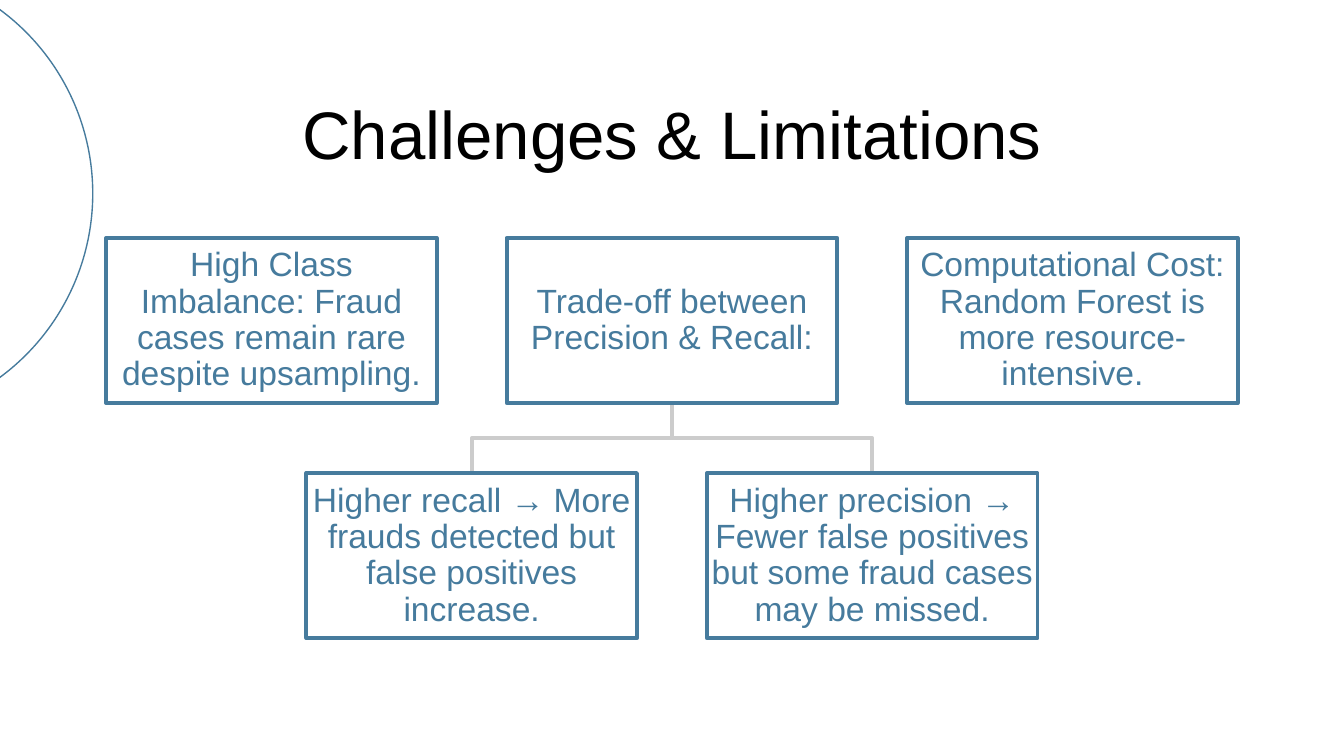
from dataclasses import dataclass

from pptx import Presentation
from pptx.dml.color import RGBColor
from pptx.enum.shapes import MSO_SHAPE as Preset
from pptx.enum.text import MSO_ANCHOR as Anchor, MSO_AUTO_SIZE as Fit, PP_ALIGN as Align
from pptx.util import Inches, Pt

# Content: (column, text); columns may be fractional, to sit between two others
TITLE = "Challenges & Limitations"
CHALLENGES = [
    (0, "High Class Imbalance: Fraud cases remain rare despite upsampling."),
    (1, "Trade-off between Precision & Recall:"),
    (2, "Computational Cost: Random Forest is more resource-intensive."),
]
TRADE_OFFS = [
    (0.5, "Higher recall → More frauds detected but false positives increase."),
    (1.5, "Higher precision → Fewer false positives but some fraud cases may be missed."),
]
PARENT_COLUMN = 1


@dataclass(frozen=True)
class Theme:
    blue: RGBColor = RGBColor.from_string("467B9D")
    grey: RGBColor = RGBColor.from_string("CCCCCC")
    white: RGBColor = RGBColor.from_string("FFFFFF")
    black: RGBColor = RGBColor.from_string("000000")
    font: str = "Arial"
    title_size: int = 36
    box_size: int = 18
    box_line: float = 2
    circle_line: float = 0.75


THEME = Theme()

# Grid, in inches, on a 16:9 slide
WIDTH = 10
HEIGHT = WIDTH * 9 / 16
MARGIN = 0.79
BOX_WIDTH, BOX_HEIGHT = 2.46, 1.23
COLUMN_STEP = (WIDTH - 2 * MARGIN - BOX_WIDTH) / 2
ROWS = (1.77, 3.52)


def set_values(target, values):
    for name, value in values.items():
        setattr(target, name, value)


def style_shape(shape, line, points, fill=None):
    shape.shadow.inherit = False
    if fill is None:
        shape.fill.background()
    else:
        shape.fill.solid()
        shape.fill.fore_color.rgb = fill
    shape.line.color.rgb = line
    shape.line.width = Pt(points)


def write(shape, text, size, colour, spacing, frame_values):
    frame = shape.text_frame
    set_values(frame, {"word_wrap": True, "auto_size": Fit.NONE} | frame_values)
    para = frame.paragraphs[0]
    set_values(para, {"alignment": Align.CENTER, "line_spacing": spacing})
    span = para.add_run()
    span.text = text
    set_values(span.font, {"name": THEME.font, "size": Pt(size)})
    span.font.color.rgb = colour


def insets(size):
    return {f"margin_{side}": Inches(size) for side in ("left", "top", "right", "bottom")}


def column_left(column):
    return MARGIN + column * COLUMN_STEP


def column_centre(column):
    return column_left(column) + BOX_WIDTH / 2


def add_branch(page, parent, child):
    """Draw the right-angled line from a parent box down to a child box."""
    top, bottom = ROWS[0] + BOX_HEIGHT, ROWS[1]
    middle = (top + bottom) / 2
    start, end = column_centre(parent), column_centre(child)
    points = [(start, middle), (end, middle), (end, bottom)]
    builder = page.shapes.build_freeform(Inches(start), Inches(top))
    builder.add_line_segments([(Inches(x), Inches(y)) for x, y in points], close=False)
    style_shape(builder.convert_to_shape(), THEME.grey, THEME.box_line)


def add_box(page, column, row, text):
    place = (column_left(column), ROWS[row], BOX_WIDTH, BOX_HEIGHT)
    box = page.shapes.add_shape(Preset.RECTANGLE, *map(Inches, place))
    style_shape(box, THEME.blue, THEME.box_line, THEME.white)
    write(box, text, THEME.box_size, THEME.blue, 0.9,
          {"vertical_anchor": Anchor.MIDDLE} | insets(0.01))


def main():
    deck = Presentation()
    set_values(deck, {"slide_width": Inches(WIDTH), "slide_height": Inches(HEIGHT)})
    page = deck.slides.add_slide(deck.slide_layouts[5])

    # Title
    title = page.shapes.title
    set_values(title, {"left": Inches(MARGIN), "top": Inches(0.59),
                       "width": Inches(WIDTH - 2 * MARGIN), "height": Inches(0.63)})
    write(title, TITLE, THEME.title_size, THEME.black, 1.0,
          insets(0.1) | {"vertical_anchor": Anchor.TOP})

    # Corner circle
    circle = page.shapes.add_shape(Preset.OVAL, *map(Inches, (-2.71, -0.26, 3.4, 3.4)))
    style_shape(circle, THEME.blue, THEME.circle_line)

    # Branches, then the boxes over their ends
    for column, _ in TRADE_OFFS:
        add_branch(page, PARENT_COLUMN, column)
    for row, boxes in enumerate((CHALLENGES, TRADE_OFFS)):
        for column, text in boxes:
            add_box(page, column, row, text)

    deck.save("out.pptx")


if __name__ == "__main__":
    main()
